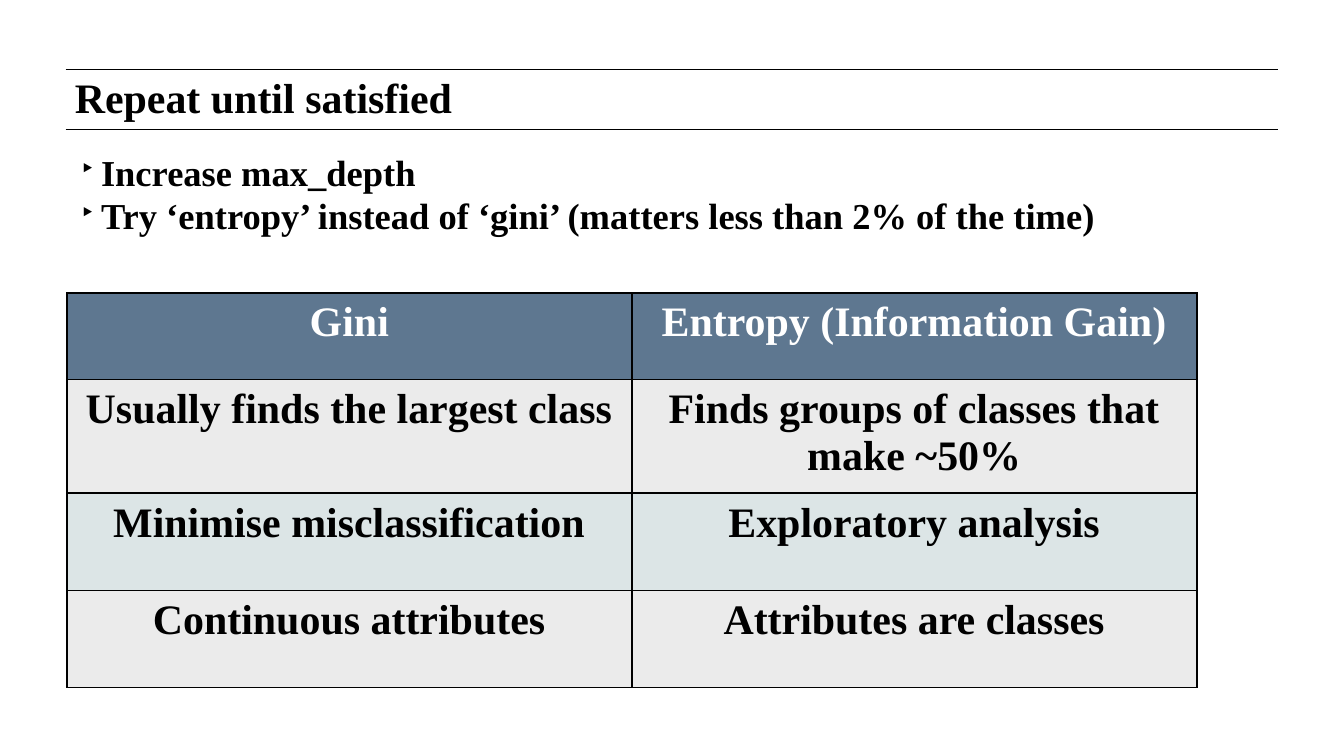
"""Build the slide comparing Gini and entropy splitting criteria."""
from lxml import etree
from pptx import Presentation
from pptx.dml.color import RGBColor
from pptx.enum.shapes import MSO_CONNECTOR
from pptx.enum.text import PP_ALIGN
from pptx.oxml.ns import qn
from pptx.util import Emu, Inches, Pt

STRAIGHT = MSO_CONNECTOR.STRAIGHT
CENTER = PP_ALIGN.CENTER
FONT = "Times New Roman"
COLORS = {"ink": "000000", "header": "5E7790", "header_text": "FFFFFF",
          "odd": "EBEBEB", "even": "DCE5E6"}
LEFT, TABLE_WIDTH = 0.51, 8.61
RULE_LEFT, RULE_RIGHT = 0.5, 9.74
HEADER_HEIGHT, ROW_HEIGHT = 0.66, 0.74
BULLETS = ["Increase max_depth",
           "Try ‘entropy’ instead of ‘gini’ (matters less than 2% of the time)"]
CRITERIA = [("Gini", "Entropy (Information Gain)"),
            ("Usually finds the largest class",
             "Finds groups of classes that make ~50%"),
            ("Minimise misclassification", "Exploratory analysis"),
            ("Continuous attributes", "Attributes are classes")]


def color(name):
    return RGBColor.from_string(COLORS[name])


def style_runs(p, size, ink="ink"):
    for r in p.runs:
        r.font.name = FONT
        r.font.size = Pt(size)
        r.font.bold = True
        r.font.color.rgb = color(ink)


def add_rule(s, y):
    line = s.shapes.add_connector(STRAIGHT, Inches(RULE_LEFT), Inches(y),
                                  Inches(RULE_RIGHT), Inches(y))
    line.line.color.rgb = color("ink")
    line.line.width = Pt(0.5)
    etree.SubElement(line._element.spPr, qn("a:effectLst"))


def add_bullet(p):
    pPr = p._p.get_or_add_pPr()
    pPr.set("marL", str(Inches(0.2)))
    pPr.set("indent", str(Inches(-0.16)))
    etree.SubElement(pPr, qn("a:buSzPct"), val="69000")
    etree.SubElement(pPr, qn("a:buChar"), char="‣")


def add_text(s, box, lines, size, spacing, bulleted=False):
    tf = s.shapes.add_textbox(*map(Inches, box)).text_frame
    tf.word_wrap = True
    tf.margin_left = tf.margin_right = Inches(0.06)
    tf.margin_top = tf.margin_bottom = Inches(0.06)
    tf.text = "\n".join(lines)
    for p in tf.paragraphs:
        if bulleted:
            add_bullet(p)
        p.line_spacing = Pt(spacing)
        style_runs(p, size)


def add_borders(cell):
    tcPr = cell._tc.get_or_add_tcPr()
    for side in ("lnL", "lnR", "lnT", "lnB"):
        ln = etree.SubElement(tcPr, qn(f"a:{side}"), w=str(Pt(1)))
        fill = etree.SubElement(ln, qn("a:solidFill"))
        etree.SubElement(fill, qn("a:srgbClr"), val=COLORS["ink"])


def fill_cell(cell, text, fill, ink):
    add_borders(cell)
    cell.fill.solid()
    cell.fill.fore_color.rgb = color(fill)
    cell.text = text
    p = cell.text_frame.paragraphs[0]
    p.alignment = CENTER
    style_runs(p, 23, ink)


def add_criteria_table(s, top, rows):
    heights = [HEADER_HEIGHT] + [ROW_HEIGHT] * (len(rows) - 1)
    columns = len(rows[0])
    table = s.shapes.add_table(len(rows), columns, Inches(LEFT), Inches(top),
                               Inches(TABLE_WIDTH), Inches(sum(heights))).table
    for column in table.columns:
        column.width = Emu(Inches(TABLE_WIDTH) // columns)
    for i, texts in enumerate(rows):
        table.rows[i].height = Inches(heights[i])
        fill = "header" if i == 0 else "odd" if i % 2 else "even"
        ink = "header_text" if i == 0 else "ink"
        for j, text in enumerate(texts):
            fill_cell(table.cell(i, j), text, fill, ink)


def main():
    prs = Presentation()
    prs.slide_width, prs.slide_height = Inches(10.24), Inches(5.75)
    s = prs.slides.add_slide(prs.slide_layouts[6])
    for y in (0.53, 0.99):
        add_rule(s, y)
    add_text(s, (LEFT, 0.55, TABLE_WIDTH, 0.52), ["Repeat until satisfied"], 23, 23)
    add_text(s, (LEFT, 1.08, 9.22, 4.41), BULLETS, 20, 24, bulleted=True)
    add_criteria_table(s, 2.23, CRITERIA)
    prs.save("out.pptx")


if __name__ == "__main__":
    main()
